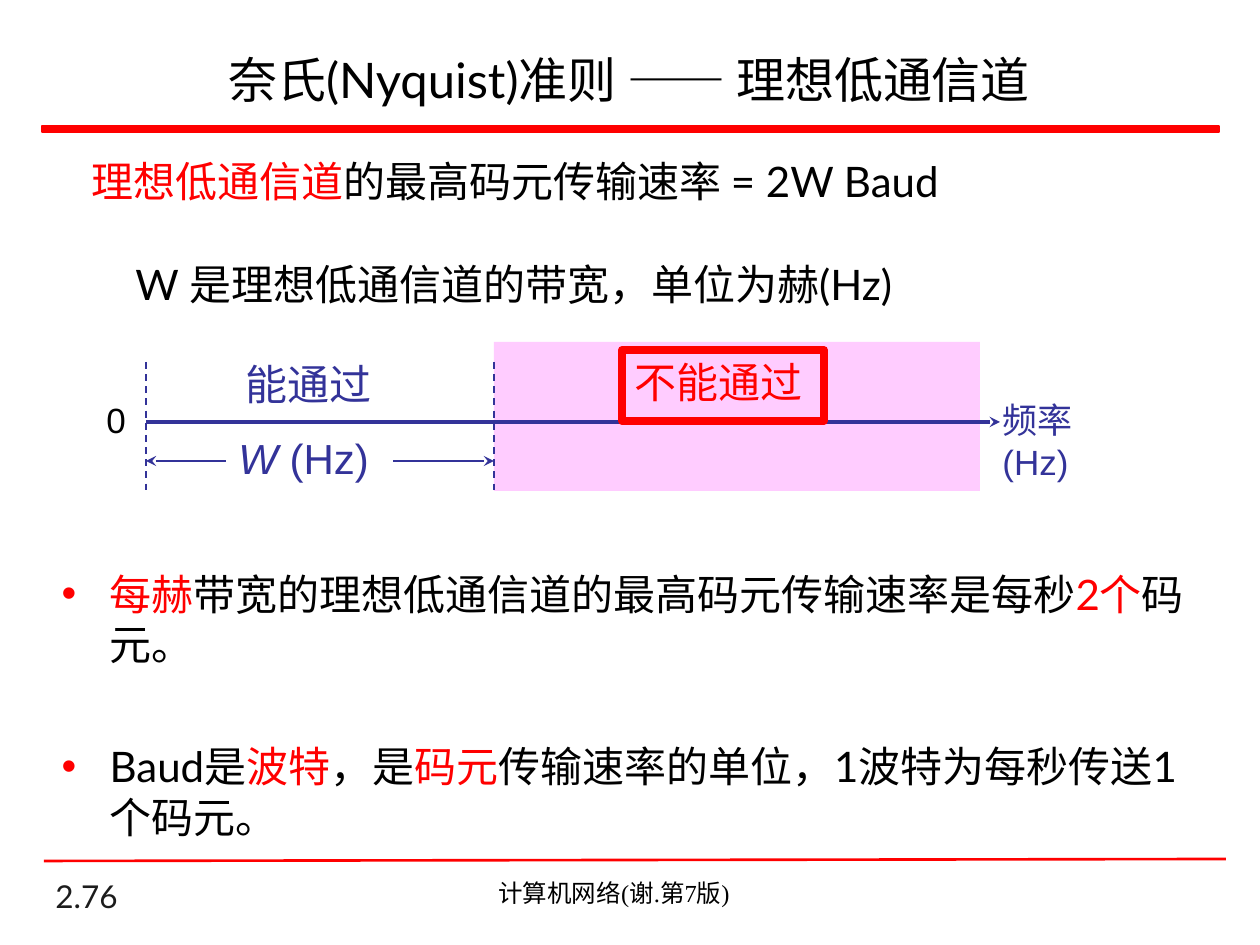
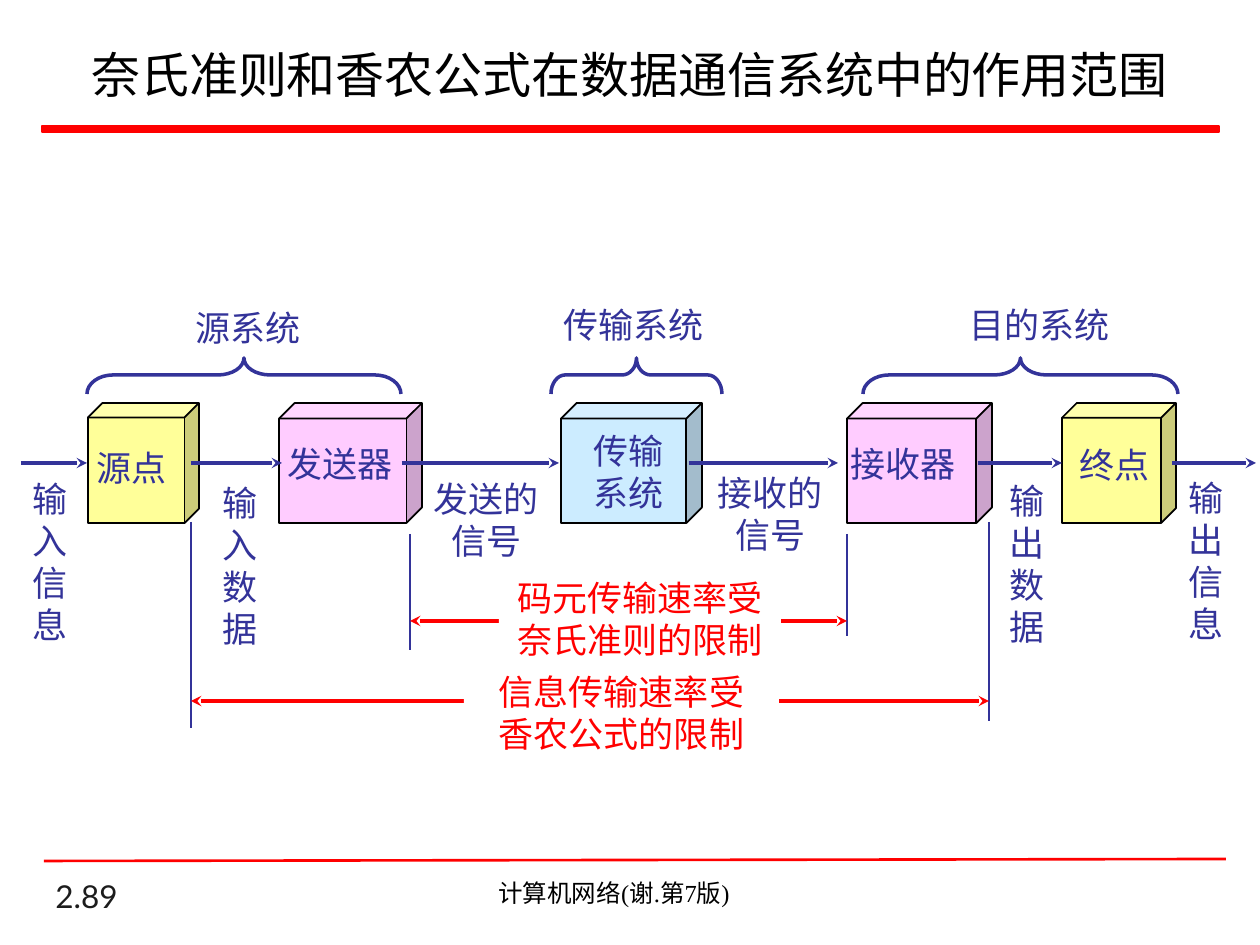
from math import cos, pi, sin

from lxml import etree
from pptx import Presentation
from pptx import util as u
from pptx.dml.color import RGBColor
from pptx.enum import dml, shapes, text
from pptx.oxml.ns import qn

PX = 914400 / 126
BLACK, RED, NAVY, GREY, WHITE = "000000", "FF0000", "333399", "1C1C1C", "FFFFFF"
PINK, YELLOW, SKY = "FFCCFF", "FFFF99", "CCECFF"
LATO, ARIAL, TIMES, CJK = "Lato", "Arial", "Times New Roman", "Noto Sans CJK SC"
CENTER = text.PP_ALIGN.CENTER
TOP, MIDDLE, BOTTOM = (text.MSO_ANCHOR.TOP, text.MSO_ANCHOR.MIDDLE,
                       text.MSO_ANCHOR.BOTTOM)


def emu(*lengths):
    return [u.Emu(round(length * PX)) for length in lengths]


def rgb(color):
    return RGBColor.from_string(color)


# --- text ---------------------------------------------------------------

def add_run(paragraph, words, color, **format_values):
    run = paragraph.add_run()
    run.text = words
    run.font.color.rgb = rgb(color)
    for key, value in format_values.items():
        setattr(run.font, key, value)
    etree.SubElement(run.font._element, qn("a:ea")).set("typeface", CJK)


def write(frame, paragraphs, size=20, color=NAVY, name=CJK, align=None,
          anchor=TOP, wrap=True):
    """Each paragraph is a string or a list of (words, overrides) runs."""
    settings = {"word_wrap": wrap, "vertical_anchor": anchor,
                "auto_size": text.MSO_AUTO_SIZE.NONE}
    for key, value in settings.items():
        setattr(frame, key, value)
    for index, runs in enumerate(paragraphs):
        paragraph = frame.add_paragraph() if index else frame.paragraphs[0]
        paragraph.alignment = align
        paragraph.line_spacing = u.Pt(size * 1.2)
        for words, changes in [(runs, {})] if isinstance(runs, str) else runs:
            add_run(paragraph, words,
                    **{"color": color, "size": u.Pt(size), "name": name, **changes})


def add_label(slide, box, *paragraphs, **style):
    label = slide.shapes.add_textbox(*emu(*box))
    write(label.text_frame, paragraphs, **style)
    return label


def place(placeholder, box):
    for key, value in zip(("left", "top", "width", "height"), emu(*box)):
        setattr(placeholder, key, value)


def set_bullet(paragraph, indent):
    properties = paragraph._p.get_or_add_pPr()
    properties.set("marL", str(indent))
    properties.set("indent", str(-indent))
    color = etree.SubElement(properties, qn("a:buClr"))
    etree.SubElement(color, qn("a:srgbClr")).set("val", RED)
    etree.SubElement(properties, qn("a:buFont")).set("typeface", ARIAL)
    etree.SubElement(properties, qn("a:buChar")).set("char", "•")


# --- shapes and lines ---------------------------------------------------

def paint(shape, fill=None, line=None, weight=1):
    shape.shadow.inherit = False
    if fill:
        shape.fill.solid()
        shape.fill.fore_color.rgb = rgb(fill)
    else:
        shape.fill.background()
    if line:
        shape.line.color.rgb = rgb(line)
        shape.line.width = u.Pt(weight)
    else:
        shape.line.fill.background()
    return shape


def add_block(slide, box, kind=shapes.MSO_SHAPE.RECTANGLE, **look):
    return paint(slide.shapes.add_shape(kind, *emu(*box)), **look)


def add_line(slide, ends, color=NAVY, weight=1, dashed=False, arrows=()):
    line = slide.shapes.add_connector(shapes.MSO_CONNECTOR.STRAIGHT, *emu(*ends))
    line.line.color.rgb = rgb(color)
    line.line.width = u.Pt(weight)
    if dashed:
        line.line.dash_style = dml.MSO_LINE.DASH
    outline = line.line._get_or_add_ln()
    for end in arrows:
        etree.SubElement(outline, qn(f"a:{end}")).set("type", "stealth")
    etree.SubElement(line._element.spPr, qn("a:effectLst"))


def add_brace(slide, left, width):
    tip, middle, foot = 358, 375, 394
    center, radius = left + width / 2, width / 12
    turns = [step * pi / 16 for step in range(9)]
    half = [(left + radius * (1 - cos(t)), foot - (foot - middle) * sin(t))
            for t in turns]
    half += [(center - radius * (1 - sin(t)), middle - (middle - tip) * (1 - cos(t)))
             for t in turns]
    other_half = [(2 * center - x, y) for x, y in reversed(half[:-1])]
    start, *rest = [emu(*point) for point in half + other_half]
    builder = slide.shapes.build_freeform(*start)
    builder.add_line_segments(rest, close=False)
    paint(builder.convert_to_shape(), line=NAVY, weight=2)


# --- what both slides share ---------------------------------------------

def start_slide(deck, layout, number, title, title_box, anchor, name):
    slide = deck.slides.add_slide(deck.slide_layouts[layout])
    add_label(slide, (43, 880, 262, 41), number, size=18, color=GREY, name=LATO,
              anchor=BOTTOM)
    add_block(slide, (42, 126, 1177, 6), fill=RED, line=RED)
    add_line(slide, (44, 861, 1226, 859), RED, 1.5)
    add_label(slide, (357, 872, 514, 43), "计算机网络(谢.第7版)", size=14,
              color=BLACK, name=TIMES, align=CENTER)
    place(slide.shapes.title, title_box)
    write(slide.shapes.title.text_frame, [title], size=28, color=BLACK, name=name,
          align=CENTER, anchor=anchor)
    return slide


# --- slide contents -----------------------------------------------------

def build_nyquist(deck):
    slide = start_slide(deck, 1, "2.76", "奈氏(Nyquist)准则 —— 理想低通信道",
                        (49, 28, 1160, 87), BOTTOM, LATO)
    red = {"color": RED}
    large = {"size": 24, "name": LATO}

    # Statement and its explanation
    add_label(slide, (79, 149, 1085, 64),
              [("理想低通信道", red), ("的最高码元传输速率 = 2W Baud", {})],
              color=BLACK, **large)
    add_label(slide, (123, 252, 819, 64), "W 是理想低通信道的带宽，单位为赫(Hz)",
              color=BLACK, wrap=False, **large)

    # Frequency axis with pass band and stop band
    zero, cutoff = 146, 494
    add_block(slide, (cutoff, 342, 486, 149), fill=PINK)
    add_line(slide, (zero, 422, 1000, 422), weight=2, arrows=["tailEnd"])
    blocked = add_block(slide, (622, 350, 202, 71), line=RED, weight=4.5)
    write(blocked.text_frame, ["不能通过"], color=RED, wrap=False, **large)
    add_label(slide, (233, 352, 151, 63), "能通过", wrap=False, **large)
    add_label(slide, (94, 392, 45, 54), "0", color=BLACK, name=ARIAL, wrap=False)
    add_label(slide, (990, 392, 120, 96), "频率(Hz)", name=ARIAL)
    for edge in (zero, cutoff):
        add_line(slide, (edge, 362, edge, 491), dashed=True)
    add_line(slide, (zero, 461, cutoff, 461), arrows=["headEnd", "tailEnd"])
    bandwidth = add_block(slide, (226, 426, 167, 63), fill=WHITE)
    write(bandwidth.text_frame, [[("W ", {"italic": True}), ("(Hz)", {})]],
          size=24, name=ARIAL, wrap=False)

    # Conclusions
    body = slide.placeholders[1]
    place(body, (49, 562, 1152, 287))
    for_each_hertz = [("每赫", red), ("带宽的理想低通信道的最高码元传输速率是每秒", {}),
                      ("2个", red), ("码元。", {})]
    baud = [("Baud是", {}), ("波特", red), ("，是", {}), ("码元", red),
            ("传输速率的单位，1波特为每秒传送1个码元。", {})]
    write(body.text_frame, [for_each_hertz, baud], color=BLACK, **large)
    for paragraph, gap in zip(body.text_frame.paragraphs, (0, 41)):
        paragraph.space_before = u.Pt(gap)
        set_bullet(paragraph, emu(48)[0])


def build_scope(deck):
    slide = start_slide(deck, 5, "2.89", "奈氏准则和香农公式在数据通信系统中的作用范围",
                        (44, 28, 1171, 92), MIDDLE, CJK)

    # Three systems: brace left and width, name left and top
    for left, width, name_left, name_top, system in [
            (87, 314, 183, 300, "源系统"), (551, 171, 551, 297, "传输系统"),
            (863, 315, 957, 297, "目的系统")]:
        add_brace(slide, left, width)
        add_label(slide, (name_left, name_top, 180, 54), system)

    # Stations
    for left, width, fill in [(88, 111, YELLOW), (279, 143, PINK), (561, 141, SKY),
                              (847, 145, PINK), (1062, 114, YELLOW)]:
        station = add_block(slide, (left, 403, width, 120), shapes.MSO_SHAPE.CUBE,
                            fill=fill, line=BLACK)
        station.adjustments[0] = 0.13

    # Signal flow
    for start, end in [(21, 87), (191, 282), (402, 559), (689, 838), (978, 1062),
                       (1172, 1256)]:
        add_line(slide, (start, 463, end, 463), weight=2, arrows=["tailEnd"])

    # Station names
    for left, top, width, station in [(84, 440, 105, "源点"), (275, 436, 136, "发送器"),
                                      (838, 436, 136, "接收器"),
                                      (1067, 437, 105, "终点")]:
        add_label(slide, (left, top, width, 54), station)
    add_label(slide, (581, 423, 108, 96), "传输", "系统")

    # Upright and two-line signal names
    for left, top, signal in [(20, 471, "输入信息"), (210, 475, "输入数据"),
                              (997, 473, "输出数据"), (1176, 470, "输出信息")]:
        add_label(slide, (left, top, 62, 180), signal)
    for left, top, width, signal in [(412, 471, 149, "发送的"), (703, 465, 135, "接收的")]:
        add_label(slide, (left, top, width, 96), signal, "信号", align=CENTER)

    # Ranges of the two limits
    for left, right, top, left_foot, right_foot, arrow, box, limit in [
            (410, 847, 534, 650, 636, 621, (499, 570, 282, 96),
             ("码元传输速率受", "奈氏准则的限制")),
            (191, 989, 522, 728, 721, 701, (464, 664, 315, 96),
             ("信息传输速率受", "香农公式的限制"))]:
        add_line(slide, (left, top, left, left_foot))
        add_line(slide, (right, top, right, right_foot))
        add_line(slide, (left, arrow, right, arrow), RED, 2,
                 arrows=["headEnd", "tailEnd"])
        caption = add_block(slide, box, fill=WHITE)
        write(caption.text_frame, limit, color=RED, align=CENTER)


def main():
    deck = Presentation()
    deck.slide_width, deck.slide_height = emu(1260, 945)
    build_nyquist(deck)
    build_scope(deck)
    deck.save("out.pptx")


if __name__ == "__main__":
    main()
